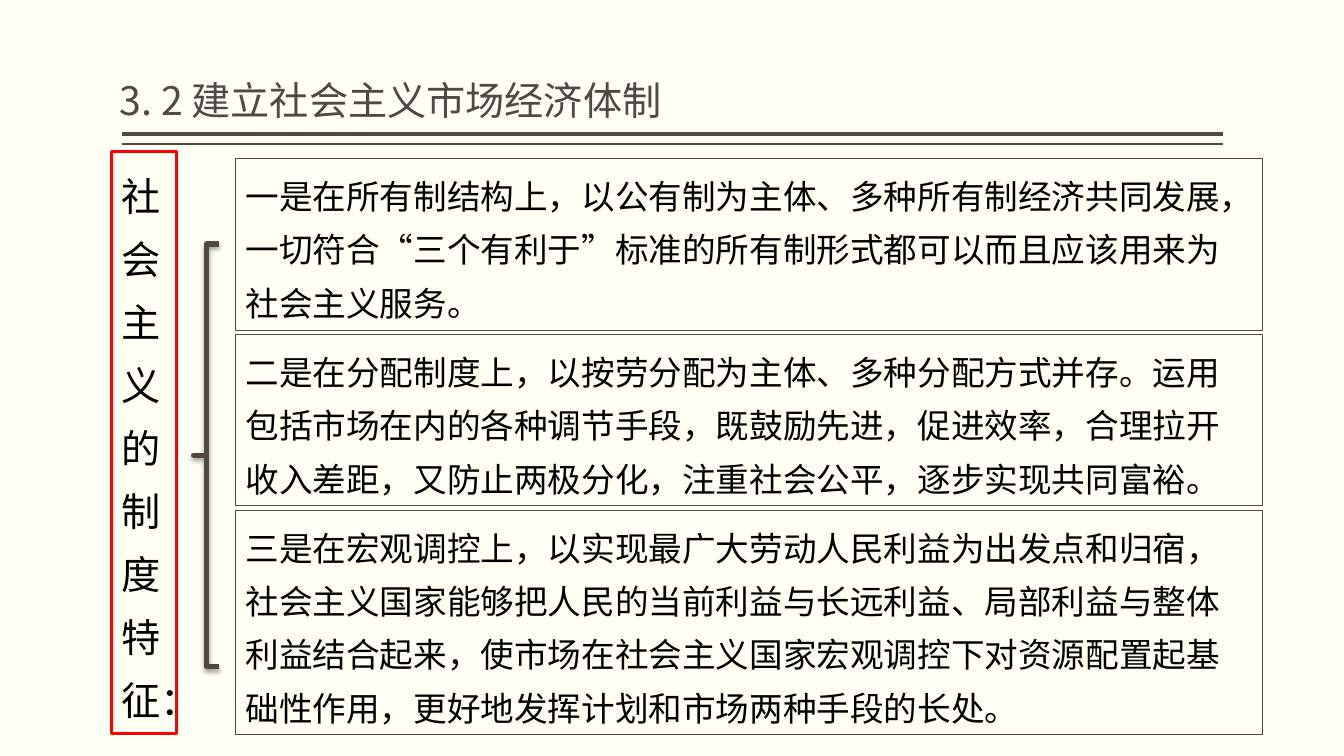
"""Build the slide on the institutional features of socialism."""
from dataclasses import dataclass

from lxml import etree
from pptx import Presentation
from pptx import util as u
from pptx.dml import color
from pptx.enum import lang, shapes, text
from pptx.oxml import ns


@dataclass(frozen=True)
class Theme:
    """Colours, fonts and type sizes of the slide."""
    paper: str = "FFFFF3"
    brown: str = "514843"
    red: str = "FF0000"
    ink: str = "000000"
    heading_font: str = "Noto Sans CJK SC"
    body_font: str = "Roboto"
    heading_size: int = 28
    body_size: int = 24


THEME = Theme()
TITLE = "3. 2 建立社会主义市场经济体制"
LABEL = "社会主义的制度特征："
FEATURES = [
    (3, "一是在所有制结构上，以公有制为主体、多种所有制经济共同发展，一切符合“三个有利于”标准的"
        "所有制形式都可以而且应该用来为社会主义服务。"),
    (3, "二是在分配制度上，以按劳分配为主体、多种分配方式并存。运用包括市场在内的各种调节手段，"
        "既鼓励先进，促进效率，合理拉开收入差距，又防止两极分化，注重社会公平，逐步实现共同富裕。"),
    (4, "三是在宏观调控上，以实现最广大劳动人民利益为出发点和归宿，社会主义国家能够把人民的当前"
        "利益与长远利益、局部利益与整体利益结合起来，使市场在社会主义国家宏观调控下对资源配置起"
        "基础性作用，更好地发挥计划和市场两种手段的长处。"),
]
FEATURE_LINE, FEATURE_PADDING, FEATURE_GAP = 1.34, 0.3, 0.11


def rgb(value):
    """Return a colour object for a hex string."""
    return color.RGBColor.from_string(value)


def set_all(target, values):
    """Set every attribute named in a dict of format values."""
    for name, value in values.items():
        setattr(target, name, value)


def add_effects(shape):
    """Append an effect list to a shape or connector and return it."""
    properties = shape.element.find(ns.qn("p:spPr"))
    return etree.SubElement(properties, ns.qn("a:effectLst"))


def write(shape, words, size, spacing, font, ink, frame_format):
    """Fill a shape with one formatted paragraph."""
    frame = shape.text_frame
    set_all(frame, {"word_wrap": True, **frame_format})
    paragraph = frame.paragraphs[0]
    set_all(paragraph, {"line_spacing": spacing,
                        "alignment": text.PP_ALIGN.LEFT})
    run = paragraph.add_run()
    run.text = words
    set_all(run.font, {"name": font, "size": u.Pt(size),
                       "language_id": lang.MSO_LANGUAGE_ID.SIMPLIFIED_CHINESE})
    run.font.color.rgb = rgb(ink)
    east_asian = etree.SubElement(run.font._element, ns.qn("a:ea"))
    east_asian.set("typeface", THEME.heading_font)


def add_outline(slide, kind, box, line_color, width):
    """Add an unfilled preset shape at a box given in centimetres."""
    shape = slide.shapes.add_shape(kind, *map(u.Cm, box))
    shape.fill.background()
    shape.line.color.rgb = rgb(line_color)
    shape.line.width = u.Pt(width)
    return shape


def add_text_box(slide, box, words, line_color, width, size, spacing):
    """Add an outlined rectangle that grows with its text."""
    shape = add_outline(slide, shapes.MSO_SHAPE.RECTANGLE, box,
                        line_color, width)
    shape.shadow.inherit = False
    write(shape, words, size, u.Pt(spacing), THEME.body_font, THEME.ink,
          {"vertical_anchor": text.MSO_ANCHOR.TOP,
           "auto_size": text.MSO_AUTO_SIZE.SHAPE_TO_FIT_TEXT})


def add_rule(slide, top, width):
    """Add a horizontal rule below the title."""
    rule = slide.shapes.add_connector(
        shapes.MSO_CONNECTOR.STRAIGHT,
        *map(u.Cm, (30.81, top, 3.07, top)))
    rule.line.color.rgb = rgb(THEME.brown)
    rule.line.width = u.Pt(width)
    add_effects(rule)


def add_title(slide):
    """Add the title, resting on the rules."""
    title = slide.shapes.add_textbox(*map(u.Cm, (3.02, 0.2, 27.74, 3.05)))
    write(title, TITLE, THEME.heading_size, 0.9, THEME.heading_font,
          THEME.brown, {"vertical_anchor": text.MSO_ANCHOR.BOTTOM,
                        "margin_left": 0, "margin_right": 0})


def add_brace(slide):
    """Add the square brace with its soft shadow."""
    brace = add_outline(slide, shapes.MSO_SHAPE.LEFT_BRACE,
                        (4.88, 6.15, 0.64, 10.64), THEME.brown, 3.78)
    brace.adjustments[0] = 0
    brace.adjustments[1] = 0.5
    shadow = etree.SubElement(
        add_effects(brace), ns.qn("a:outerShdw"),
        blurRad=str(u.Pt(3.5)), dist=str(u.Pt(2)), dir="5400000",
        rotWithShape="0")
    tint = etree.SubElement(shadow, ns.qn("a:srgbClr"), val=THEME.ink)
    etree.SubElement(tint, ns.qn("a:alpha"), val="38000")


def add_features(slide):
    """Stack the feature boxes, each as tall as its lines of text."""
    top = 3.99
    for lines, words in FEATURES:
        height = lines * FEATURE_LINE + FEATURE_PADDING
        add_text_box(slide, (5.94, top, 25.86, height), words,
                     THEME.brown, 0.25, THEME.body_size, 38)
        top += height + FEATURE_GAP


def main():
    """Build and save the presentation."""
    presentation = Presentation()
    set_all(presentation, {"slide_width": u.Cm(33.87),
                           "slide_height": u.Cm(19.05)})
    slide = presentation.slides.add_slide(presentation.slide_layouts[6])
    slide.background.fill.solid()
    slide.background.fill.fore_color.rgb = rgb(THEME.paper)
    for top, width in ((3.38, 3), (3.63, 1)):
        add_rule(slide, top, width)
    add_text_box(slide, (2.82, 3.81, 1.63, 14.68), LABEL,
                 THEME.red, 2, THEME.heading_size, 45)
    add_brace(slide)
    add_features(slide)
    add_title(slide)
    presentation.save("out.pptx")


if __name__ == "__main__":
    main()
